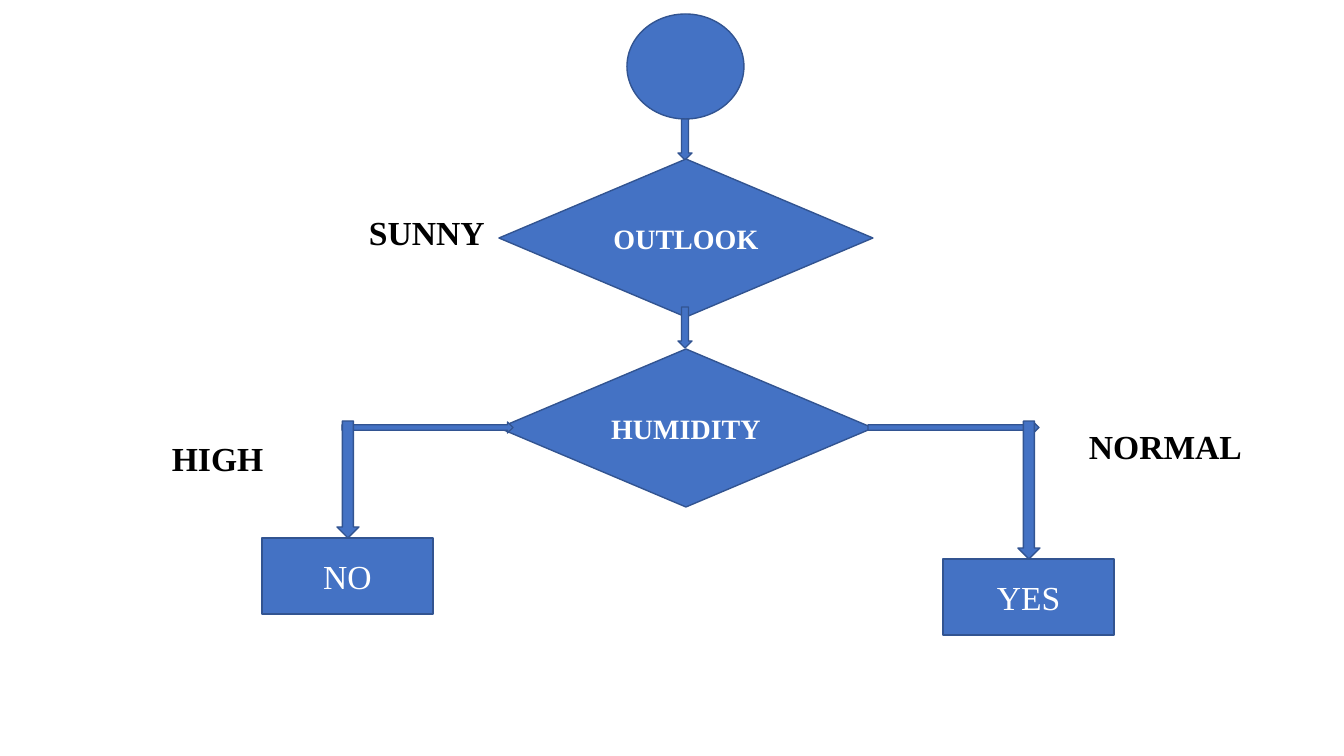
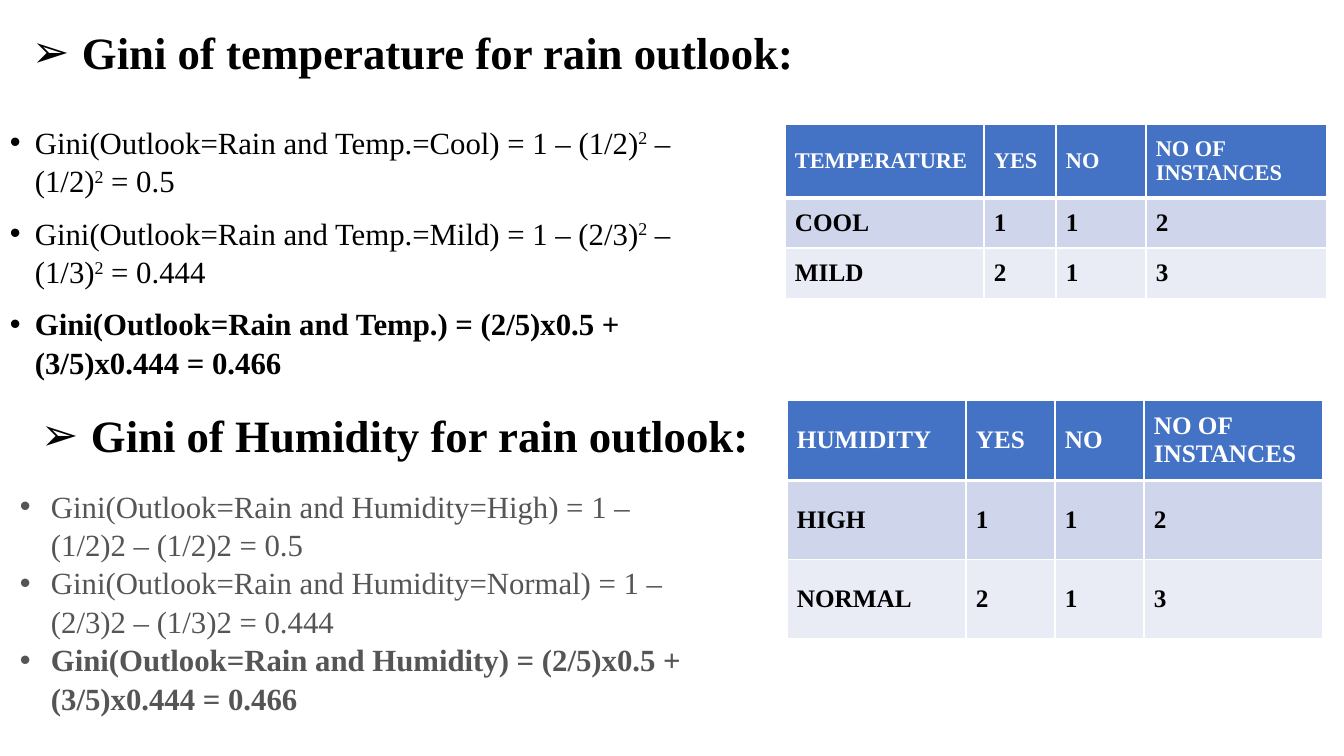
from lxml.etree import SubElement
from pptx import Presentation
from pptx.dml.color import RGBColor
from pptx.enum.shapes import MSO_SHAPE as SHAPE
from pptx.enum.text import MSO_ANCHOR as ANCHOR, PP_ALIGN as ALIGN
from pptx.oxml.ns import qn
from pptx.util import Emu, Pt

SCALE = 914400 / 100.8
FONT = "Times New Roman"
BLUE, EDGE, WHITE, BLACK, GREY = "4472C4", "325491", "FFFFFF", "000000", "555555"
BANDS = [BLUE, "CFD5EA", "E9EBF5"]
rgb = RGBColor.from_string


def px(*lengths):
    """Turn pixel lengths into a list of EMU lengths."""
    return [Emu(round(n * SCALE)) for n in lengths]


def write(tf, *lines, size=24, color=BLACK, bold=False, align=ALIGN.LEFT,
          anchor=ANCHOR.TOP, bullet=None, indent=0, before=0, spacing=None):
    """Write one paragraph per line; text between carets is superscript."""
    tf.word_wrap = True
    tf.vertical_anchor = anchor
    for i, line in enumerate(lines):
        p = tf.add_paragraph() if i else tf.paragraphs[0]
        p.alignment, p.space_before, p.line_spacing = align, Pt(before), spacing
        if bullet:
            pPr = p._p.get_or_add_pPr()
            margin = px(indent)[0]
            pPr.set("marL", str(margin))
            pPr.set("indent", str(-margin))
            SubElement(pPr, qn("a:buFont")).set("typeface", "Arial")
            SubElement(pPr, qn("a:buChar")).set("char", bullet)
        for j, part in enumerate(line.split("^")):
            r = p.add_run()
            r.text = part
            r.font.name, r.font.size, r.font.bold = FONT, Pt(size), bold
            r.font.color.rgb = rgb(color)
            if j % 2:
                r.font._element.set("baseline", "30000")


prs = Presentation()
prs.slide_width, prs.slide_height = px(1344, 756)
tree_slide, gini_slide = [prs.slides.add_slide(prs.slide_layouts[6]) for _ in range(2)]

# Decision tree
nodes = [
    (SHAPE.FLOWCHART_CONNECTOR, (627, 14, 117, 105), "", {}),
    (SHAPE.DIAMOND, (499, 349, 374, 158), "HUMIDITY", {"size": 20, "bold": True}),
    (SHAPE.RIGHT_ARROW, (868, 422, 171, 11), "", {}),
    (SHAPE.RIGHT_ARROW, (342, 422, 171, 11), "", {}),
    (SHAPE.DOWN_ARROW, (337, 421, 22, 117), "", {}),
    (SHAPE.DOWN_ARROW, (1018, 421, 22, 138), "", {}),
    (SHAPE.DOWN_ARROW, (678, 119, 14, 41), "", {}),
    (SHAPE.DIAMOND, (499, 159, 374, 158), "OUTLOOK", {"size": 20, "bold": True}),
    (SHAPE.DOWN_ARROW, (678, 307, 14, 41), "", {}),
    (SHAPE.RECTANGLE, (262, 538, 171, 76), "NO", {}),
    (SHAPE.RECTANGLE, (943, 559, 171, 76), "YES", {}),
]
for kind, place, text, style in nodes:
    sp = tree_slide.shapes.add_shape(kind, *px(*place))
    sp.shadow.inherit = False
    sp.fill.solid()
    sp.fill.fore_color.rgb = rgb(BLUE)
    sp.line.color.rgb = rgb(EDGE)
    sp.line.width = Pt(1)
    if text:
        write(sp.text_frame, text, color=WHITE, align=ALIGN.CENTER,
              anchor=ANCHOR.MIDDLE, **style)

for text, place in [("SUNNY", (359, 207, 167, 50)), ("NORMAL", (1079, 421, 194, 50)),
                    ("HIGH", (162, 433, 150, 50))]:
    write(tree_slide.shapes.add_textbox(*px(*place)).text_frame, text, bold=True)

# Gini headings and calculations
for text, place in [("Gini of temperature for rain outlook:", (22, 20, 1229, 91)),
                    ("Gini of Humidity for rain outlook:", (31, 403, 800, 65))]:
    write(gini_slide.shapes.add_textbox(*px(*place)).text_frame, text,
          size=32, bold=True, bullet="➢", indent=50)

calculations = [
    ((0, 117, 763, 261), {"indent": 25, "before": 10}, [
        "Gini(Outlook=Rain and Temp.=Cool) = 1 – (1/2)^2^\u00a0– (1/2)^2^\u00a0= 0.5",
        "Gini(Outlook=Rain and Temp.=Mild) = 1 – (2/3)^2^\u00a0– (1/3)^2^\u00a0= 0.444",
        "Gini(Outlook=Rain and Temp.) = (2/5)x0.5 + (3/5)x0.444 = 0.466"]),
    ((10, 481, 702, 234), {"indent": 31, "color": GREY}, [
        "Gini(Outlook=Rain and Humidity=High) = 1 – (1/2)2\u00a0– (1/2)2\u00a0= 0.5",
        "Gini(Outlook=Rain and Humidity=Normal) = 1 – (2/3)2\u00a0– (1/3)2\u00a0= 0.444",
        "Gini(Outlook=Rain and Humidity) = (2/5)x0.5 + (3/5)x0.444 = 0.466"]),
]
for place, style, lines in calculations:
    tf = gini_slide.shapes.add_textbox(*px(*place)).text_frame
    write(tf, *lines, size=22, bullet="•", spacing=1.04, **style)
    for r in tf.paragraphs[-1].runs:
        r.font.bold = True

# Instance tables
tables = [
    ((785, 124), (199, 72, 90, 181), (70, 49, 49), 16, "TEMPERATURE", "COOL", "MILD"),
    ((787, 400), (179, 89, 89, 179), (80, 79, 79), 18, "HUMIDITY", "HIGH", "NORMAL"),
]
for corner, widths, heights, head_size, *names in tables:
    table = gini_slide.shapes.add_table(
        3, 4, *px(*corner, sum(widths), sum(heights))).table
    for column, width in zip(table.columns, px(*widths)):
        column.width = width
    counts = [("YES", "NO", "NO OF INSTANCES"), ("1", "1", "2"), ("2", "1", "3")]
    for i, (row, height) in enumerate(zip(table.rows, px(*heights))):
        row.height = height
        for cell, text in zip(row.cells, (names[i], *counts[i])):
            write(cell.text_frame, text, size=18 if i else head_size,
                  color=BLACK if i else WHITE, bold=True)
            cell.vertical_anchor = ANCHOR.MIDDLE
            (cell.margin_left, cell.margin_right,
             cell.margin_top, cell.margin_bottom) = px(10, 10, 10, 10)
            tcPr = cell._tc.get_or_add_tcPr()
            for side in "LRTB":
                thick = (i, side) in [(0, "B"), (1, "T")]
                ln = SubElement(tcPr, qn(f"a:ln{side}"), w=str(Pt(3 if thick else 1)))
                SubElement(SubElement(ln, qn("a:solidFill")), qn("a:srgbClr"), val=WHITE)
            cell.fill.solid()
            cell.fill.fore_color.rgb = rgb(BANDS[i])

prs.save("out.pptx")
